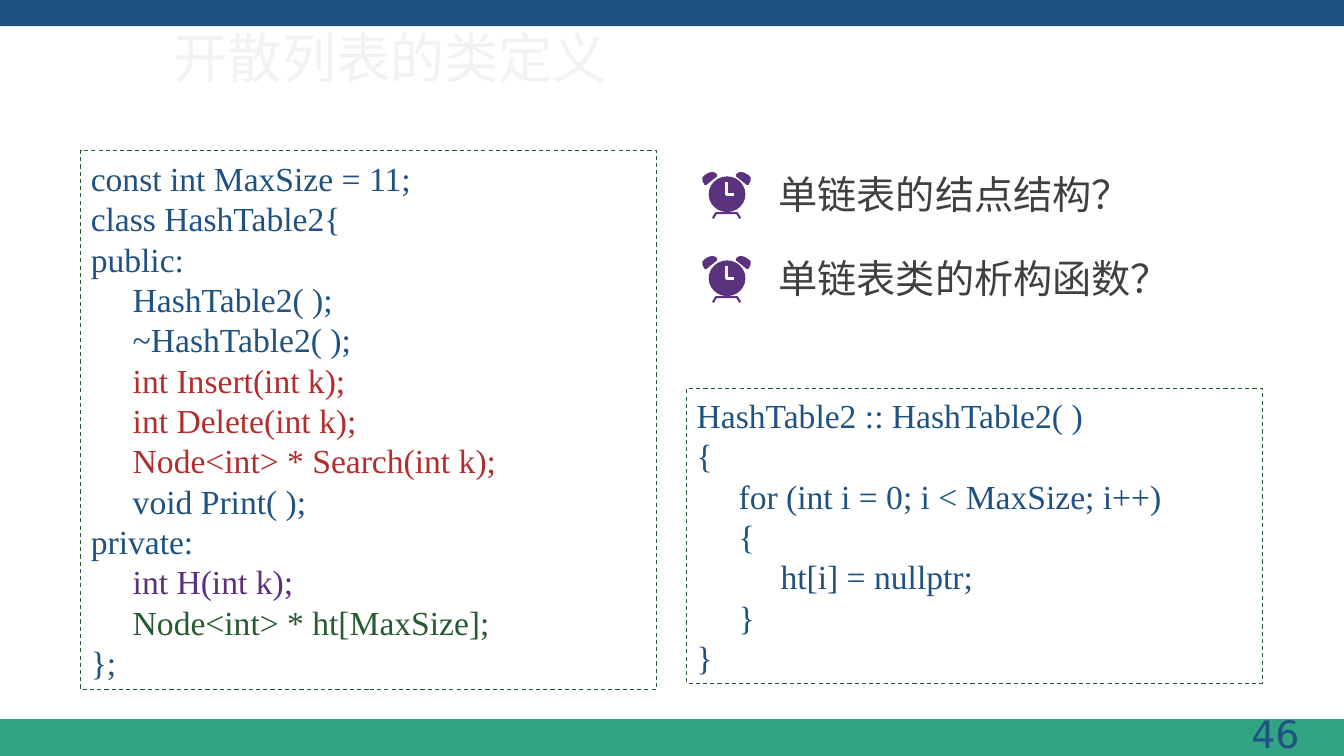
from dataclasses import dataclass
from typing import NamedTuple

from pptx import Presentation
from pptx.dml.color import RGBColor
from pptx.enum.dml import MSO_LINE_DASH_STYLE as Dash
from pptx.enum.lang import MSO_LANGUAGE_ID as Language
from pptx.enum.shapes import MSO_SHAPE as Preset
from pptx.enum.text import MSO_ANCHOR as Anchor, MSO_AUTO_SIZE as AutoSize, PP_ALIGN as Align
from pptx.shapes.autoshape import Shape
from pptx.slide import Slide
from pptx.text.text import TextFrame
from pptx.util import Pt

PX = 9525


@dataclass(frozen=True)
class Theme:
    blue: str = "1F5281"
    green: str = "30A383"
    border: str = "285A32"
    red: str = "B42D2D"
    purple: str = "5C307D"
    clock: str = "5A327D"
    white: str = "FFFFFF"
    grey: str = "404040"
    title_color: str = "F2F2F2"
    serif: str = "Times New Roman"
    title_font: str = "Calibri"
    number_font: str = "DejaVu Sans"
    title_size: float = 38.7
    question_size: float = 28
    number_size: float = 27
    code_size: float = 24
    code_pitch: float = 28.8


THEME = Theme()


class Area(NamedTuple):
    left: int
    top: int
    width: int
    height: int


class Style(NamedTuple):
    font: str
    size: float
    color: str


class Line(NamedTuple):
    text: str
    color: str = THEME.blue


class Bar(NamedTuple):
    area: Area
    color: str


class Listing(NamedTuple):
    area: Area
    lines: list[Line]


Points = list[tuple[int, int]]

BARS = [
    Bar(Area(0, 685, 1280, 35), THEME.green),
    Bar(Area(0, 0, 1280, 25), THEME.blue),
]
LISTINGS = [
    Listing(Area(77, 143, 548, 514), [
        Line("const int MaxSize = 11;"),
        Line("class HashTable2{"),
        Line("public:"),
        Line("     HashTable2( );"),
        Line("     ~HashTable2( );"),
        Line("     int Insert(int k);", THEME.red),
        Line("     int Delete(int k);", THEME.red),
        Line("     Node<int> * Search(int k);", THEME.red),
        Line("     void Print( );"),
        Line("private:"),
        Line("     int H(int k);", THEME.purple),
        Line("     Node<int> * ht[MaxSize];", THEME.border),
        Line("};"),
    ]),
    Listing(Area(654, 370, 548, 281), [
        Line("HashTable2 :: HashTable2( )"),
        Line("{"),
        Line("     for (int i = 0; i < MaxSize; i++)"),
        Line("     {"),
        Line("          ht[i] = nullptr;"),
        Line("     }"),
        Line("}"),
    ]),
]
QUESTIONS = ["单链表的结点结构？", "单链表类的析构函数？"]
QUESTION_TOP, QUESTION_PITCH = 157, 80
CLOCK_LEFT, CLOCK_WIDTH, CLOCK_DROP = 669, 46, 7
LEFT_BELL: Points = [(8, 0), (5, 1), (2, 3), (0, 5), (0, 8), (1, 10),
                     (2, 12), (4, 12), (14, 4), (14, 2), (11, 0)]
RIGHT_BELL: Points = [(CLOCK_WIDTH - x, y) for x, y in LEFT_BELL]
LEGS: Points = [(10, 44), (13, 39), (33, 39), (36, 44)]
HANDS: Points = [(23, 9), (23, 21), (30, 21)]


def emu(area: Area) -> list[int]:
    return [length * PX for length in area]


def rgb(color: str) -> RGBColor:
    return RGBColor.from_string(color)


def prepare(frame: TextFrame) -> None:
    frame.word_wrap = True
    frame.auto_size = AutoSize.NONE
    frame.vertical_anchor = Anchor.MIDDLE


def write(frame: TextFrame, text: str, style: Style, align: Align = Align.LEFT,
          language: Language | None = None) -> None:
    prepare(frame)
    para = frame.paragraphs[0]
    para.alignment = align
    add_span(para, text, style, language)


def add_span(para, text: str, style: Style, language: Language | None = None) -> None:
    span = para.add_run()
    span.text = text
    span.font.name = style.font
    span.font.size = Pt(style.size)
    span.font.color.rgb = rgb(style.color)
    if language is not None:
        span.font.language_id = language


def draw_solid(page: Slide, preset: Preset, area: Area, color: str) -> None:
    shape = page.shapes.add_shape(preset, *emu(area))
    fill_solid(shape, color)


def fill_solid(shape: Shape, color: str) -> None:
    shape.shadow.inherit = False
    shape.fill.solid()
    shape.fill.fore_color.rgb = rgb(color)
    shape.line.fill.background()


def draw_listing(page: Slide, listing: Listing) -> None:
    box = page.shapes.add_shape(Preset.RECTANGLE, *emu(listing.area))
    box.shadow.inherit = False
    box.fill.background()
    box.line.color.rgb = rgb(THEME.border)
    box.line.width = Pt(0.75)
    box.line.dash_style = Dash.DASH
    frame = box.text_frame
    prepare(frame)
    for index, line in enumerate(listing.lines):
        para = frame.add_paragraph() if index else frame.paragraphs[0]
        para.alignment = Align.LEFT
        para.line_spacing = Pt(THEME.code_pitch)
        add_span(para, line.text, Style(THEME.serif, THEME.code_size, line.color))


def outline(page: Slide, points: Points, left: int, top: int, close: bool) -> Shape:
    builder = page.shapes.build_freeform(*points[0], scale=PX)
    builder.add_line_segments(points[1:], close=close)
    return builder.convert_to_shape(left * PX, top * PX)


def draw_stroke(page: Slide, points: Points, left: int, top: int, color: str, weight: float) -> None:
    stroke = outline(page, points, left, top, False)
    stroke.shadow.inherit = False
    stroke.fill.background()
    stroke.line.color.rgb = rgb(color)
    stroke.line.width = Pt(weight)


def draw_clock(page: Slide, left: int, top: int) -> None:
    draw_stroke(page, LEGS, left, top, THEME.clock, 1.5)
    for bell in (LEFT_BELL, RIGHT_BELL):
        fill_solid(outline(page, bell, left, top, True), THEME.clock)
    draw_solid(page, Preset.OVAL, Area(left + 6, top + 4, 35, 34), THEME.clock)
    draw_stroke(page, HANDS, left, top, THEME.white, 2)


def draw_question(page: Slide, text: str, top: int) -> None:
    draw_clock(page, CLOCK_LEFT, top + CLOCK_DROP)
    box = page.shapes.add_textbox(*emu(Area(732, top, 392, 55)))
    write(box.text_frame, text, Style(THEME.serif, THEME.question_size, THEME.grey),
          language=Language.SIMPLIFIED_CHINESE)


def main() -> None:
    deck = Presentation()
    deck.slide_width, deck.slide_height = 1280 * PX, 720 * PX
    page = deck.slides.add_slide(deck.slide_layouts.get_by_name("Title Only"))
    for bar in BARS:
        draw_solid(page, Preset.RECTANGLE, bar.area, bar.color)
    title = page.shapes.title
    title.left, title.top, title.width, title.height = emu(Area(156, 20, 1074, 68))
    write(title.text_frame, "开散列表的类定义",
          Style(THEME.title_font, THEME.title_size, THEME.title_color),
          language=Language.SIMPLIFIED_CHINESE)
    for listing in LISTINGS:
        draw_listing(page, listing)
    for index, question in enumerate(QUESTIONS):
        draw_question(page, question, QUESTION_TOP + index * QUESTION_PITCH)
    number = page.shapes.add_textbox(*emu(Area(965, 671, 282, 54)))
    write(number.text_frame, "46",
          Style(THEME.number_font, THEME.number_size, THEME.blue), Align.RIGHT)
    deck.save("out.pptx")


if __name__ == "__main__":
    main()
